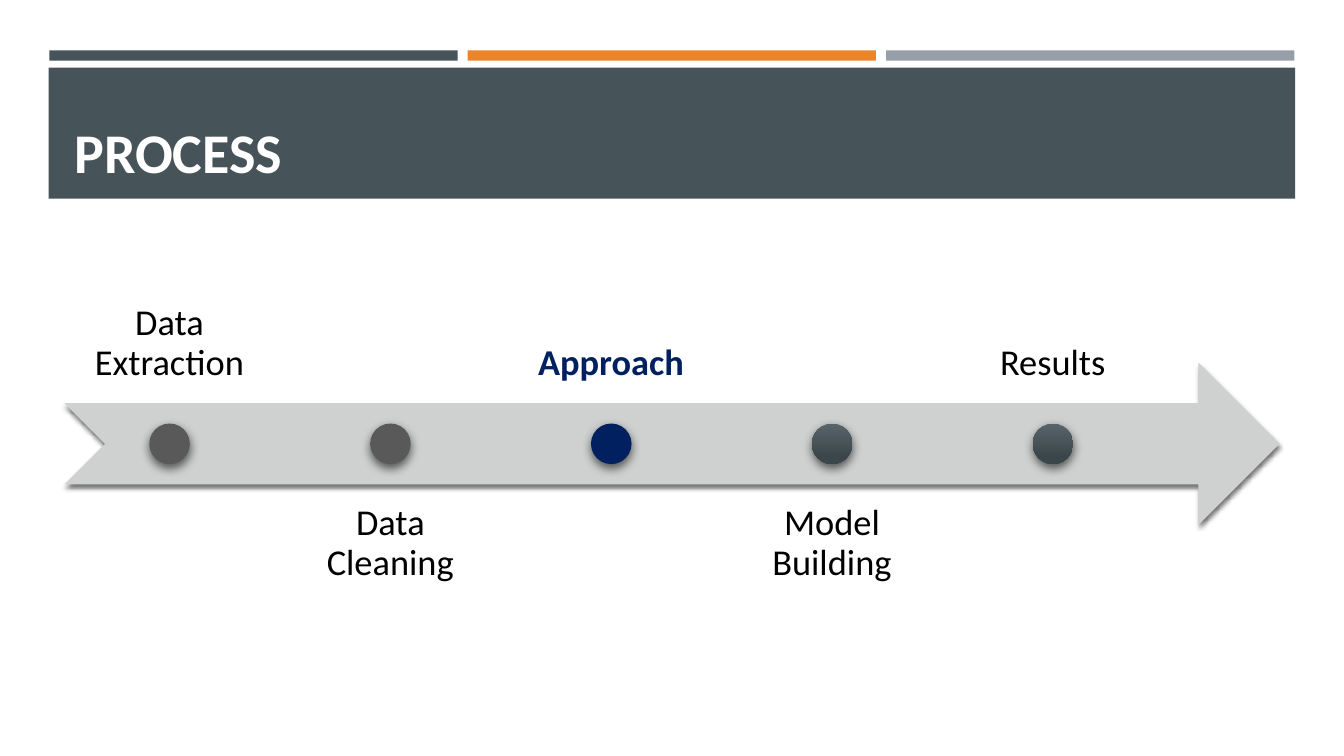
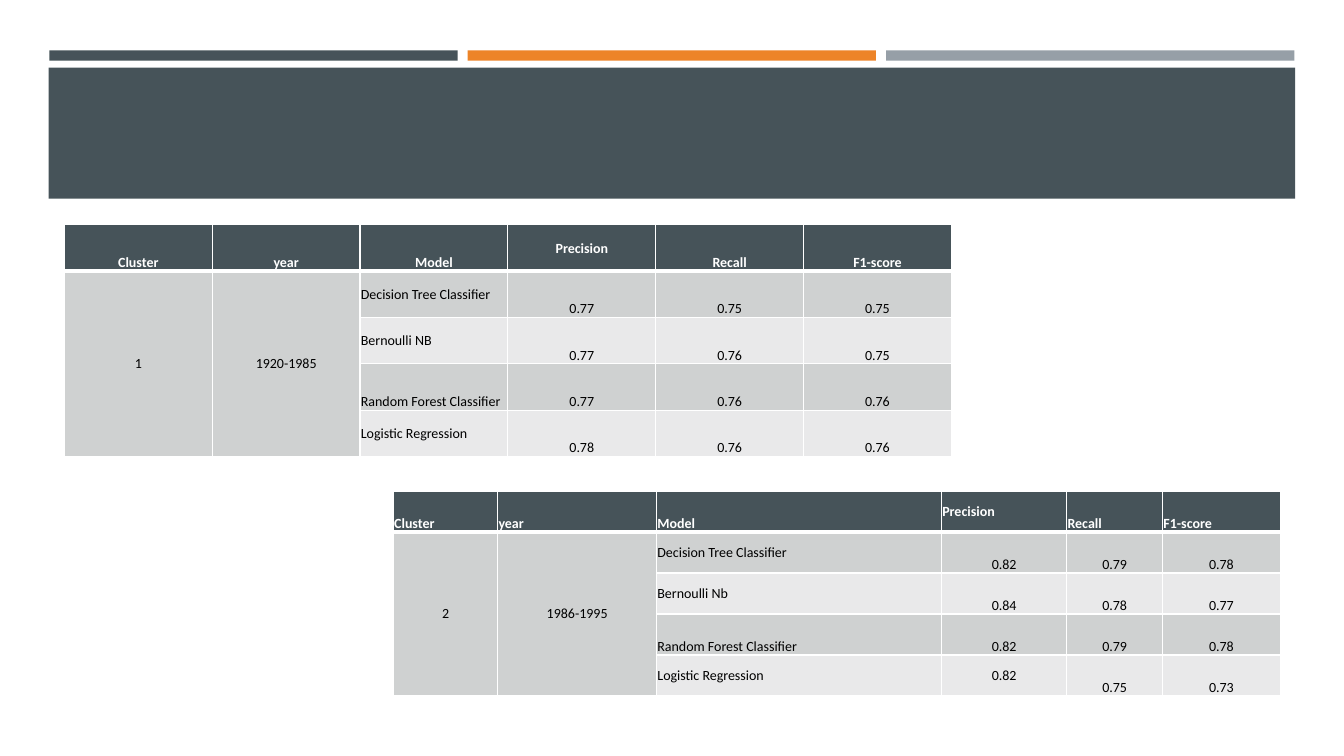
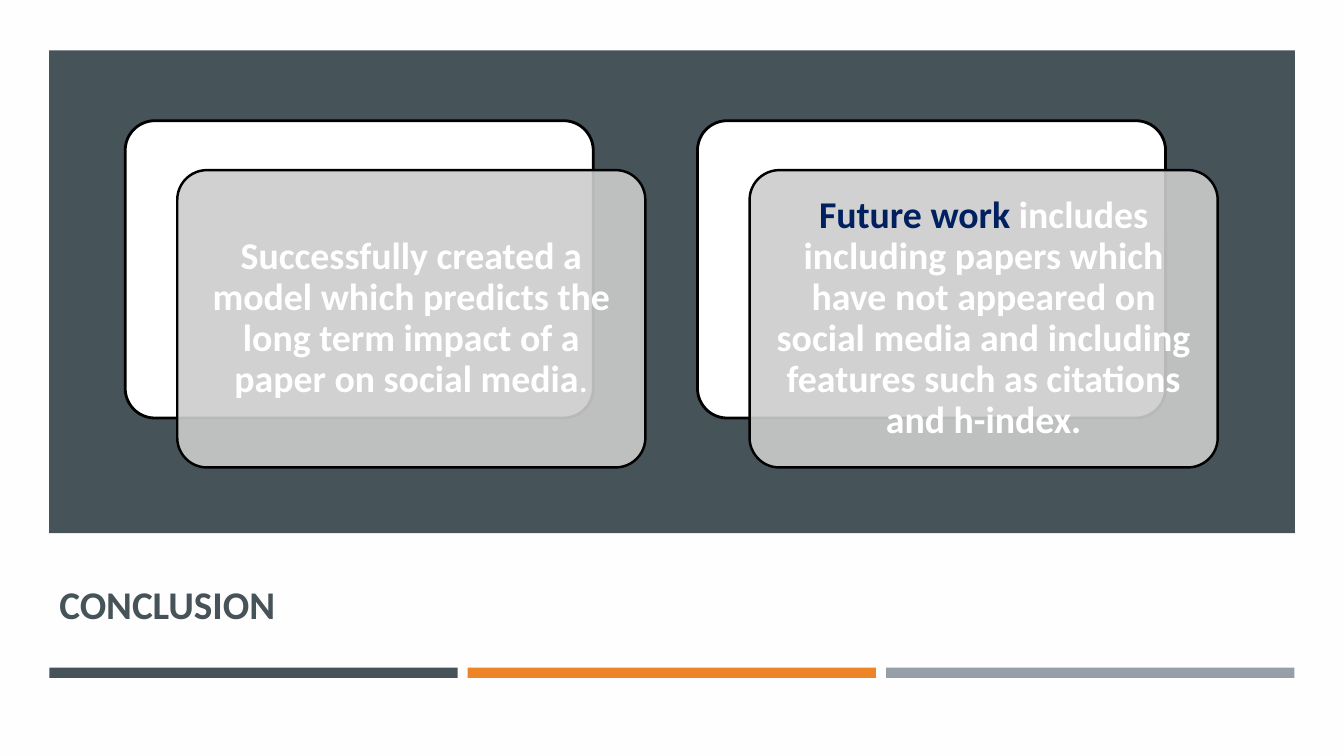
from lxml import etree
from pptx import Presentation
from pptx.dml.color import RGBColor
from pptx.enum.shapes import MSO_SHAPE
from pptx.enum.text import MSO_ANCHOR, MSO_AUTO_SIZE, PP_ALIGN
from pptx.oxml.ns import qn
from pptx.util import Pt

RECT, OVAL = MSO_SHAPE.RECTANGLE, MSO_SHAPE.OVAL
ROUNDED, ARROW = MSO_SHAPE.ROUNDED_RECTANGLE, MSO_SHAPE.NOTCHED_RIGHT_ARROW
TOP, MIDDLE, BOTTOM = MSO_ANCHOR.TOP, MSO_ANCHOR.MIDDLE, MSO_ANCHOR.BOTTOM
LEFT, CENTER = PP_ALIGN.LEFT, PP_ALIGN.CENTER

SLATE = RGBColor(0x46, 0x53, 0x59)
ORANGE = RGBColor(0xED, 0x84, 0x28)
STEEL = RGBColor(0x96, 0x9F, 0xA7)
SILVER = RGBColor(0xCF, 0xD1, 0xD1)
MIST = RGBColor(0xE9, 0xE9, 0xEA)
CARD = RGBColor(0xCC, 0xCC, 0xCC)
GRAY = RGBColor(0x59, 0x59, 0x59)
NAVY = RGBColor(0x00, 0x20, 0x60)
DOT_LIGHT = RGBColor(0x58, 0x64, 0x6A)
DOT_DARK = RGBColor(0x3B, 0x46, 0x4B)
PAPER = RGBColor(0xFF, 0xFE, 0xFF)
WHITE = RGBColor(0xFF, 0xFF, 0xFF)
BLACK = RGBColor(0x00, 0x00, 0x00)

FONT = "Calibri"
MODELS = ["Decision Tree Classifier", "Bernoulli NB",
          "Random Forest Classifier", "Logistic Regression"]
HEADERS = ["Cluster", "year", "Model", "Precision", "Recall", "F1-score"]
MIDDLE_CELLS = {(0, 3), (1, 2), (2, 2), (4, 2)}


def write(tf, *runs, size, color=BLACK, bold=False, align=LEFT, spacing=None):
    """Fill a text frame with one paragraph of (text, colour, bold) runs or strings."""
    p = tf.paragraphs[0]
    p.alignment = align
    if spacing:
        p.line_spacing = spacing
    for run in runs:
        text, run_color, run_bold = (run, color, bold) if isinstance(run, str) else run
        r = p.add_run()
        r.text = text
        r.font.name = FONT
        r.font.size = Pt(size)
        r.font.bold = run_bold
        r.font.color.rgb = run_color


def frame(tf, inset, anchor):
    """Set wrapping, equal insets and the vertical anchor of a text frame."""
    tf.word_wrap = True
    tf.auto_size = MSO_AUTO_SIZE.NONE
    tf.vertical_anchor = anchor
    tf.margin_left = tf.margin_right = tf.margin_top = tf.margin_bottom = Pt(inset)


def add_box(s, kind, x, y, w, h, fill=None, line=0):
    """Add a preset shape with a plain fill and an optional black outline."""
    sp = s.shapes.add_shape(kind, Pt(x), Pt(y), Pt(w), Pt(h))
    sp.shadow.inherit = False
    if fill is not None:
        sp.fill.solid()
        sp.fill.fore_color.rgb = fill
    if line:
        sp.line.color.rgb = BLACK
        sp.line.width = Pt(line)
    else:
        sp.line.fill.background()
    return sp


def add_shadow(sp, alpha, blur, dist, angle):
    """Give a shape a black outer shadow."""
    effects = sp.element.spPr.find(qn("a:effectLst"))
    shadow = etree.SubElement(effects, qn("a:outerShdw"), blurRad=str(Pt(blur)),
                              dist=str(Pt(dist)), dir=str(angle * 60000),
                              algn="ctr", rotWithShape="0")
    color = etree.SubElement(shadow, qn("a:srgbClr"), val=str(BLACK))
    etree.SubElement(color, qn("a:alpha"), val=str(alpha * 1000))


def add_bars(s, x, y, w, gap=7.2):
    """Draw the three coloured bars across a width."""
    bar_w = (w - 2 * gap) / 3
    for i, color in enumerate((SLATE, ORANGE, STEEL)):
        add_box(s, RECT, x + i * (bar_w + gap), y, bar_w, 7.4, color)


def add_header(s):
    """Draw the bars and the title band at the top of a content slide."""
    add_bars(s, 35.2, 36, 889.4)
    add_box(s, RECT, 34.8, 48.4, 890.4, 93.6, SLATE)


def set_title(s, text, x, y, w, h, anchor, **fmt):
    """Place the title placeholder in front and fill it."""
    title = s.shapes.title
    title.left, title.top, title.width, title.height = Pt(x), Pt(y), Pt(w), Pt(h)
    tf = title.text_frame
    tf.word_wrap = True
    tf.auto_size = MSO_AUTO_SIZE.NONE
    tf.vertical_anchor = anchor
    write(tf, text, bold=True, **fmt)
    s.shapes.element.append(title.element)


def add_timeline(s, x, y, w, h, steps):
    """Draw an arrow with dots, and labels alternately above and below it."""
    arrow = add_box(s, ARROW, x, y + 0.3 * h, w, 0.4 * h, SILVER)
    add_shadow(arrow, 55, 3, 2, 90)
    label_w = 0.9 * w / (len(steps) + 0.05 * (len(steps) - 1))
    dot = 0.1 * h
    for i, (label, dot_color, color, bold) in enumerate(steps):
        left = x + i * 1.05 * label_w
        above = i % 2 == 0
        top = y if above else y + 0.6 * h
        tb = s.shapes.add_textbox(Pt(left), Pt(top), Pt(label_w), Pt(0.4 * h))
        frame(tb.text_frame, 14.4, BOTTOM if above else TOP)
        write(tb.text_frame, label, size=26, color=color, bold=bold,
              align=CENTER, spacing=0.9)
        sp = add_box(s, OVAL, left + (label_w - dot) / 2, y + (h - dot) / 2,
                     dot, dot, dot_color)
        add_shadow(sp, 60, 7, 3, 84)
        if dot_color is None:
            sp.fill.gradient()
            sp.fill.gradient_angle = 270
            stops = zip(sp.fill.gradient_stops, (DOT_LIGHT, DOT_DARK), (0, 0.84))
            for stop, stop_color, position in stops:
                stop.color.rgb = stop_color
                stop.position = position


def set_borders(cell, **widths):
    """Draw white cell borders of the given widths, keyed by side."""
    tc_pr = cell._tc.get_or_add_tcPr()
    for side in "LRTB":
        ln = etree.SubElement(tc_pr, qn("a:ln" + side), w=str(Pt(widths.get(side, 1))))
        fill = etree.SubElement(ln, qn("a:solidFill"))
        etree.SubElement(fill, qn("a:srgbClr"), val=str(WHITE))


def add_scores(s, x, y, col_widths, row_h, rows, header_align, middle):
    """Draw a table of model scores for one cluster."""
    n_rows, n_cols = len(rows), len(col_widths)
    table = s.shapes.add_table(n_rows, n_cols, Pt(x), Pt(y), Pt(sum(col_widths)),
                               Pt(row_h * n_rows)).table
    for col, width in zip(table.columns, col_widths):
        col.width = Pt(width)
    for row in table.rows:
        row.height = Pt(row_h)
    for i, values in enumerate(rows):
        for j, text in enumerate(values):
            cell = table.cell(i, j)
            head, merged = i == 0, i > 0 and j < 2
            set_borders(cell, T=3 if i == 1 else 1, B=3 if head else 1)
            cell.fill.solid()
            cell.fill.fore_color.rgb = SLATE if head else SILVER if i % 2 or merged else MIST
            cell.margin_left = cell.margin_right = Pt(7.2 if merged else 0.6)
            cell.margin_top = Pt(3.6 if merged else 0.6)
            cell.margin_bottom = Pt(3.6 if merged else 0)
            cell.vertical_anchor = MIDDLE if merged or (i, j) in middle else BOTTOM
            align = header_align if head else LEFT if j == 2 else CENTER
            if text:
                write(cell.text_frame, text, size=10, bold=head, align=align,
                      color=WHITE if head else BLACK)
    for j in range(2):
        table.cell(1, j).merge(table.cell(n_rows - 1, j))


def score_rows(cluster, years, models, scores):
    """Combine the headers, merged labels, models and scores into table rows."""
    labels = [(cluster, years)] + [("", "")] * (len(models) - 1)
    return [HEADERS] + [[*label, model, *score.split()]
                        for label, model, score in zip(labels, models, scores)]


def add_card(s, x, y, w, h, *runs):
    """Draw a white card with a translucent text card offset in front."""
    back = add_box(s, ROUNDED, x, y, w, h, WHITE, 2)
    front = add_box(s, ROUNDED, x + 37.2, y + 35.3, w, h, CARD, 1.75)
    for sp in (back, front):
        sp.adjustments[0] = 0.1
    color = front.element.spPr.find(qn("a:solidFill")).find(qn("a:srgbClr"))
    etree.SubElement(color, qn("a:alpha"), val="90000")
    frame(front.text_frame, 8, MIDDLE)
    write(front.text_frame, *runs, size=27, color=WHITE, bold=True,
          align=CENTER, spacing=0.9)


def process_slide(prs):
    """Build the process timeline slide."""
    s = prs.slides.add_slide(prs.slide_layouts[5])
    add_header(s)
    set_title(s, "PROCESS", 46, 55.4, 868, 80, BOTTOM, size=40, color=WHITE)
    add_timeline(s, 46, 172, 868, 290, [
        ("Data Extraction", GRAY, BLACK, False),
        ("Data Cleaning", GRAY, BLACK, False),
        ("Approach", NAVY, NAVY, True),
        ("Model Building", None, BLACK, False),
        ("Results", None, BLACK, False),
    ])


def scores_slide(prs):
    """Build the slide with the scores of two clusters."""
    s = prs.slides.add_slide(prs.slide_layouts[6])
    add_header(s)
    first = score_rows("1", "1920-1985", MODELS,
                       ["0.77 0.75 0.75", "0.77 0.76 0.75",
                        "0.77 0.76 0.76", "0.78 0.76 0.76"])
    add_scores(s, 46, 160.6, [105.6] * 6, 33.1, first, CENTER, MIDDLE_CELLS)
    models = [m.replace("NB", "Nb") for m in MODELS]
    second = score_rows("2", "1986-1995", models,
                        ["0.82 0.79 0.78", "0.84 0.78 0.77",
                         "0.82 0.79 0.78", "0.82 0.75 0.73"])
    add_scores(s, 281, 350.8, [74.5, 113.5, 203.5, 89.5, 68.5, 84], 29.3, second,
               LEFT, MIDDLE_CELLS | {(4, 3)})


def conclusion_slide(prs):
    """Build the conclusion slide with two cards on a dark panel."""
    s = prs.slides.add_slide(prs.slide_layouts[5])
    s.background.fill.solid()
    s.background.fill.fore_color.rgb = PAPER
    add_box(s, RECT, 35.2, 36, 889.8, 344.8, SLATE)
    add_bars(s, 35.2, 476.8, 889.4)
    set_title(s, "CONCLUSION", 35.2, 394, 889.4, 75, MIDDLE, size=28, color=SLATE)
    cards = [
        ["Successfully created a model which predicts the long term impact "
         "of a paper on social media", (".", WHITE, False)],
        [("Future work ", NAVY, True),
         "includes including papers which have not appeared on social media "
         "and including features such as citations and h-index."],
    ]
    for i, runs in enumerate(cards):
        add_card(s, 89.4 + i * 408.8, 86.2, 334.4, 212.4, *runs)


def main():
    """Build and save the presentation."""
    prs = Presentation()
    prs.slide_width, prs.slide_height = Pt(960), Pt(540)
    process_slide(prs)
    scores_slide(prs)
    conclusion_slide(prs)
    prs.save("out.pptx")


if __name__ == "__main__":
    main()
